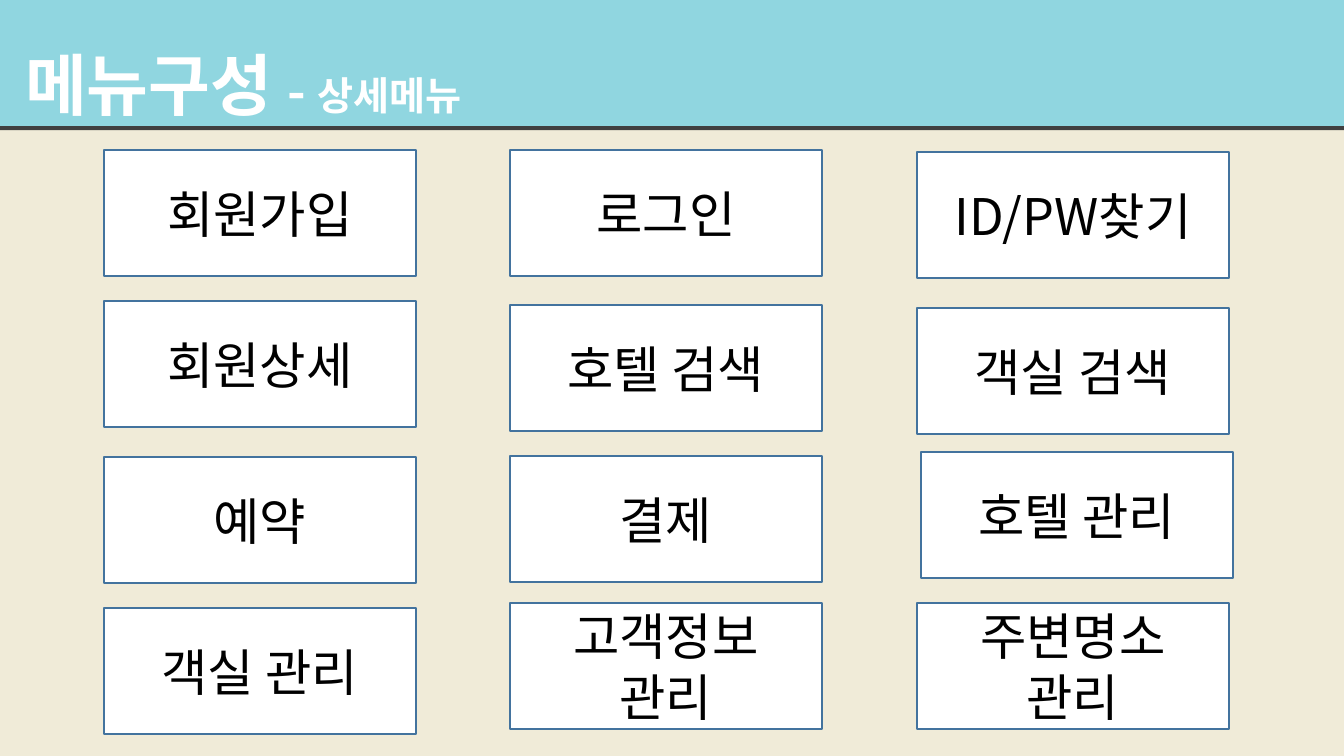
from lxml import etree
from pptx import Presentation
from pptx import util as u
from pptx.dml.color import RGBColor
from pptx.enum import shapes, text
from pptx.oxml import parse_xml
from pptx.oxml.ns import nsdecls, qn

PX = 914400 / 100.8
FONT = "Noto Sans CJK KR"
CREAM = RGBColor(0xF0, 0xEB, 0xD8)
AQUA = RGBColor(0x90, 0xD6, 0xE0)
WHITE = RGBColor(0xFF, 0xFF, 0xFF)
BLACK = RGBColor(0, 0, 0)
BLUE = RGBColor(0x43, 0x73, 0x9E)


def px(length):
    return u.Emu(round(length * PX))


def add_run(paragraph, content, size, color, bold=False):
    run = paragraph.add_run()
    run.text = content
    run.font.size = u.Pt(size)
    run.font.bold = bold
    run.font.color.rgb = color
    run.font.name = FONT
    east_asian = etree.SubElement(run.font._element, qn("a:ea"))
    east_asian.set("typeface", FONT)


presentation = Presentation()
presentation.slide_width, presentation.slide_height = px(1344), px(756)
slide = presentation.slides.add_slide(presentation.slide_layouts[6])
slide.background.fill.solid()
slide.background.fill.fore_color.rgb = CREAM

# Title banner with a hard dark edge below it
banner = slide.shapes.add_shape(shapes.MSO_SHAPE.RECTANGLE, 0, 0, px(1344), px(126))
banner.fill.solid()
banner.fill.fore_color.rgb = AQUA
banner.line.fill.background()
banner._element.spPr.append(parse_xml(
    f'<a:effectLst {nsdecls("a")}>'
    '<a:outerShdw blurRad="0" dist="38100" dir="5400000" algn="t" rotWithShape="0">'
    '<a:srgbClr val="404040"/></a:outerShdw></a:effectLst>'))
banner.text_frame.vertical_anchor = text.MSO_ANCHOR.MIDDLE
title = banner.text_frame.paragraphs[0]
title.alignment = text.PP_ALIGN.LEFT
title.line_spacing = 1.5
for content, size in ((" 메뉴구성 ", 48), ("- ", 36), ("상세메뉴", 28)):
    add_run(title, content, size, WHITE, bold=True)

# Menu boxes: label, left, top
MENUS = [
    ("회원가입", 104, 150), ("로그인", 510, 150), ("ID/PW찾기", 917, 152),
    ("회원상세", 104, 301), ("호텔 검색", 510, 305), ("객실 검색", 917, 308),
    ("예약", 104, 457), ("결제", 510, 456), ("호텔 관리", 921, 452),
    ("객실 관리", 104, 608), ("고객정보\n관리", 510, 603), ("주변명소\n관리", 917, 603),
]
for label, left, top in MENUS:
    box = slide.shapes.add_shape(
        shapes.MSO_SHAPE.RECTANGLE, px(left), px(top), px(312), px(126))
    box.shadow.inherit = False
    box.fill.solid()
    box.fill.fore_color.rgb = WHITE
    box.line.color.rgb = BLUE
    box.line.width = u.Pt(1)
    frame = box.text_frame
    frame.vertical_anchor = text.MSO_ANCHOR.MIDDLE
    for index, line in enumerate(label.split("\n")):
        paragraph = frame.add_paragraph() if index else frame.paragraphs[0]
        paragraph.alignment = text.PP_ALIGN.CENTER
        add_run(paragraph, line, 36, BLACK)

presentation.save("out.pptx")
